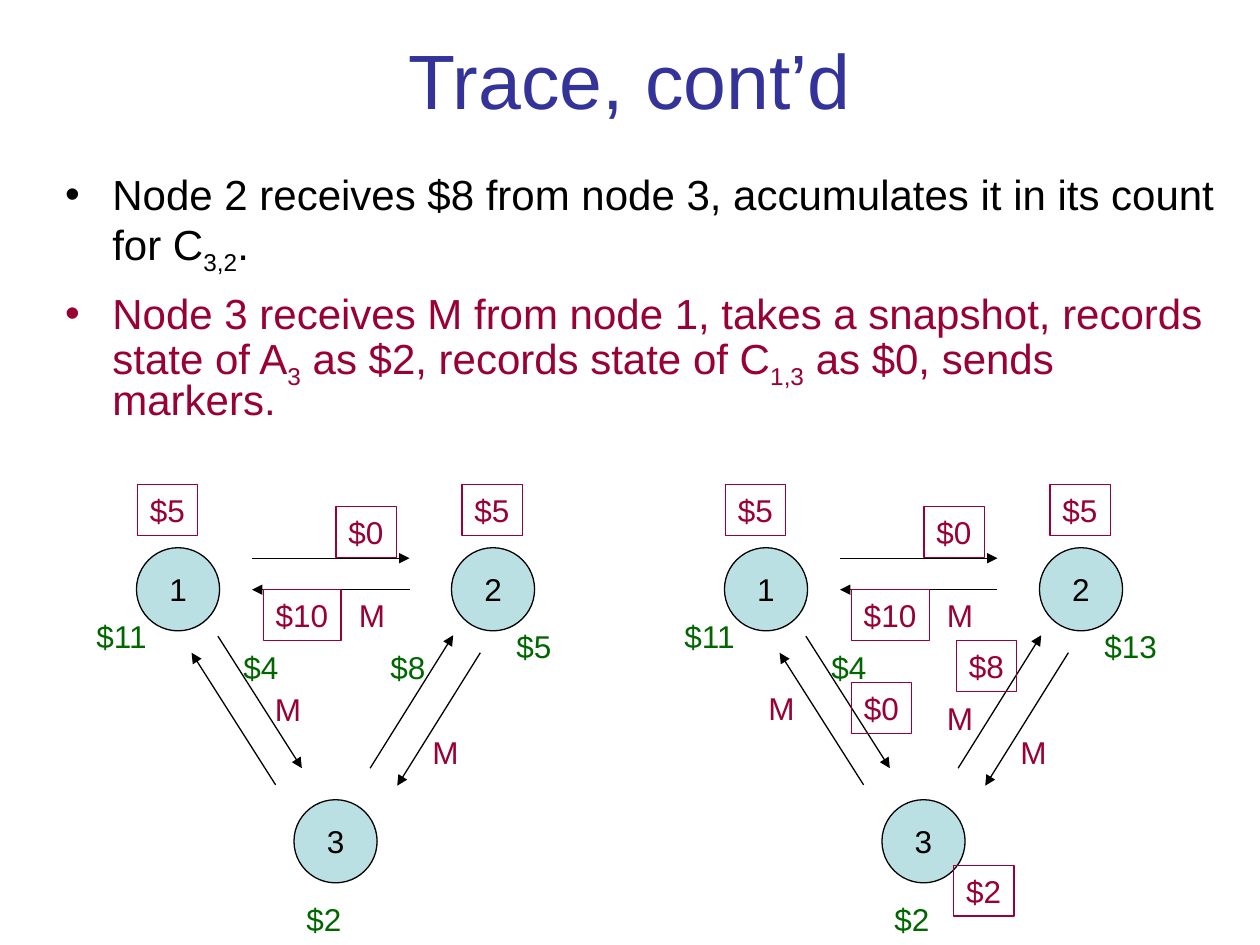
from lxml import etree
from pptx import Presentation
from pptx.dml.color import RGBColor
from pptx.enum.shapes import MSO_CONNECTOR, MSO_SHAPE
from pptx.enum.text import MSO_ANCHOR, MSO_AUTO_SIZE, PP_ALIGN
from pptx.oxml.ns import qn
from pptx.util import Pt

STRAIGHT = MSO_CONNECTOR.STRAIGHT
OVAL = MSO_SHAPE.OVAL
TOP, MIDDLE = MSO_ANCHOR.TOP, MSO_ANCHOR.MIDDLE
CENTER = PP_ALIGN.CENTER
NO_AUTOFIT = MSO_AUTO_SIZE.NONE
FONT = "Arial"
COLORS = {
    "title": "333399",
    "ink": "000000",
    "snapshot": "990033",
    "balance": "006600",
    "node": "BBE0E3",
}
NODE_SIZE = 47.5
LABEL_HEIGHT = 29
DIAGRAM_STEP = 336
INDENT = 27

NODES = [("1", 78, 313), ("3", 168, 457), ("2", 258, 313)]
CHANNELS = [
    (144, 319, 234, 319),
    (234, 337, 144, 337),
    (211.5, 439, 259, 363),
    (274.5, 373, 227, 449),
    (124.5, 363.5, 172.5, 439),
    (157.5, 448.5, 109.5, 373),
]
SHARED_RECORDS = [("$5", 78.5, 277), ("$10", 150.5, 337), ("$5", 264, 277), ("$0", 192, 289.5)]
SHARED_BALANCES = [("$4", 132, 367), ("$11", 48, 349), ("$2", 168, 511)]
SHARED_MARKERS = [(240, 415.5), (198, 337)]
STAGES = [
    {
        "records": [],
        "balances": [("$8", 216, 367), ("$5", 288, 355)],
        "markers": [(150, 391)],
    },
    {
        "records": [("$8", 210.5, 366), ("$2", 209, 494.5), ("$0", 150.5, 390)],
        "balances": [("$13", 288, 355)],
        "markers": [(96, 390), (198, 396)],
    },
]
STEPS = [
    ("ink", 0.9, 6, [
        ("Node 2 receives $8 from node 3, accumulates it in its count for C", "3,2"),
        (".", ""),
    ]),
    ("snapshot", 0.8, 15, [
        ("Node 3 receives M from node 1, takes a snapshot, records state of A", "3"),
        (" as $2, records state of C", "1,3"),
        (" as $0, sends markers.", ""),
    ]),
]


def rgb(name):
    return RGBColor.from_string(COLORS[name])


def style(font, size, color):
    font.name = FONT
    font.size = Pt(size)
    font.color.rgb = rgb(color)


def place(element, left, top, width, height):
    element.left, element.top = Pt(left), Pt(top)
    element.width, element.height = Pt(width), Pt(height)


def set_title(title, wording):
    place(title, 36, 0, 648, 90)
    title.text_frame.text = wording
    title.text_frame.vertical_anchor = MIDDLE
    title.text_frame.auto_size = NO_AUTOFIT
    heading = title.text_frame.paragraphs[0]
    heading.alignment = CENTER
    style(heading.runs[0].font, 44, "title")


def add_run(paragraph, wording, color, subscript=False):
    run = paragraph.add_run()
    run.text = wording
    style(run.font, 24, color)
    if subscript:
        run.font._element.set("baseline", "-25000")


def set_steps(body):
    place(body, 30, 96, 672, 156)
    frame = body.text_frame
    frame.auto_size = NO_AUTOFIT
    frame.vertical_anchor = TOP
    for index, (color, line_spacing, space_before, parts) in enumerate(STEPS):
        step = frame.add_paragraph() if index else frame.paragraphs[0]
        step.line_spacing = line_spacing
        step.space_before = Pt(space_before)
        properties = step._p.get_or_add_pPr()
        properties.set("marL", str(Pt(INDENT)))
        properties.set("indent", str(-Pt(INDENT)))
        etree.SubElement(properties, qn("a:buFont"), typeface=FONT)
        etree.SubElement(properties, qn("a:buChar"), char="•")
        for wording, subscript in parts:
            add_run(step, wording, color)
            if subscript:
                add_run(step, subscript, color, True)


def add_node(diagram, name, left, top):
    node = diagram.shapes.add_shape(OVAL, Pt(left), Pt(top), Pt(NODE_SIZE), Pt(NODE_SIZE))
    node.shadow.inherit = False
    node.fill.solid()
    node.fill.fore_color.rgb = rgb("node")
    node.line.color.rgb = rgb("ink")
    node.line.width = Pt(0.75)
    node.text_frame.text = name
    node.text_frame.word_wrap = False
    node.text_frame.vertical_anchor = MIDDLE
    caption = node.text_frame.paragraphs[0]
    caption.alignment = CENTER
    style(caption.runs[0].font, 18, "ink")


def add_channel(diagram, *ends):
    channel = diagram.shapes.add_connector(STRAIGHT, *map(Pt, ends))
    channel.line.color.rgb = rgb("ink")
    channel.line.width = Pt(0.75)
    etree.SubElement(channel.line._get_or_add_ln(), qn("a:tailEnd"), type="triangle")
    etree.SubElement(channel._element.spPr, qn("a:effectLst"))


def add_label(diagram, wording, left, top, color, boxed=False):
    width = 29.5 if wording == "M" else 14.5 + 10 * len(wording)
    label = diagram.shapes.add_textbox(Pt(left), Pt(top), Pt(width), Pt(LABEL_HEIGHT))
    label.text_frame.text = wording
    label.text_frame.word_wrap = False
    style(label.text_frame.paragraphs[0].runs[0].font, 18, color)
    if boxed:
        label.line.color.rgb = rgb("snapshot")
        label.line.width = Pt(0.75)


def add_diagram(slide, shift, stage):
    diagram = slide.shapes.add_group_shape()
    for name, left, top in NODES:
        add_node(diagram, name, left + shift, top)
    for x1, y1, x2, y2 in CHANNELS:
        add_channel(diagram, x1 + shift, y1, x2 + shift, y2)
    for amount, left, top in SHARED_RECORDS + stage["records"]:
        add_label(diagram, amount, left + shift, top, "snapshot", True)
    for amount, left, top in SHARED_BALANCES + stage["balances"]:
        add_label(diagram, amount, left + shift, top, "balance")
    for left, top in SHARED_MARKERS + stage["markers"]:
        add_label(diagram, "M", left + shift, top, "snapshot")


def main():
    deck = Presentation()
    deck.slide_width, deck.slide_height = Pt(720), Pt(540)
    slide = deck.slides.add_slide(deck.slide_layouts[1])
    set_title(slide.shapes.title, "Trace, cont’d")
    set_steps(slide.placeholders[1])
    for index, stage in enumerate(STAGES):
        add_diagram(slide, index * DIAGRAM_STEP, stage)
    deck.save("out.pptx")


if __name__ == "__main__":
    main()
